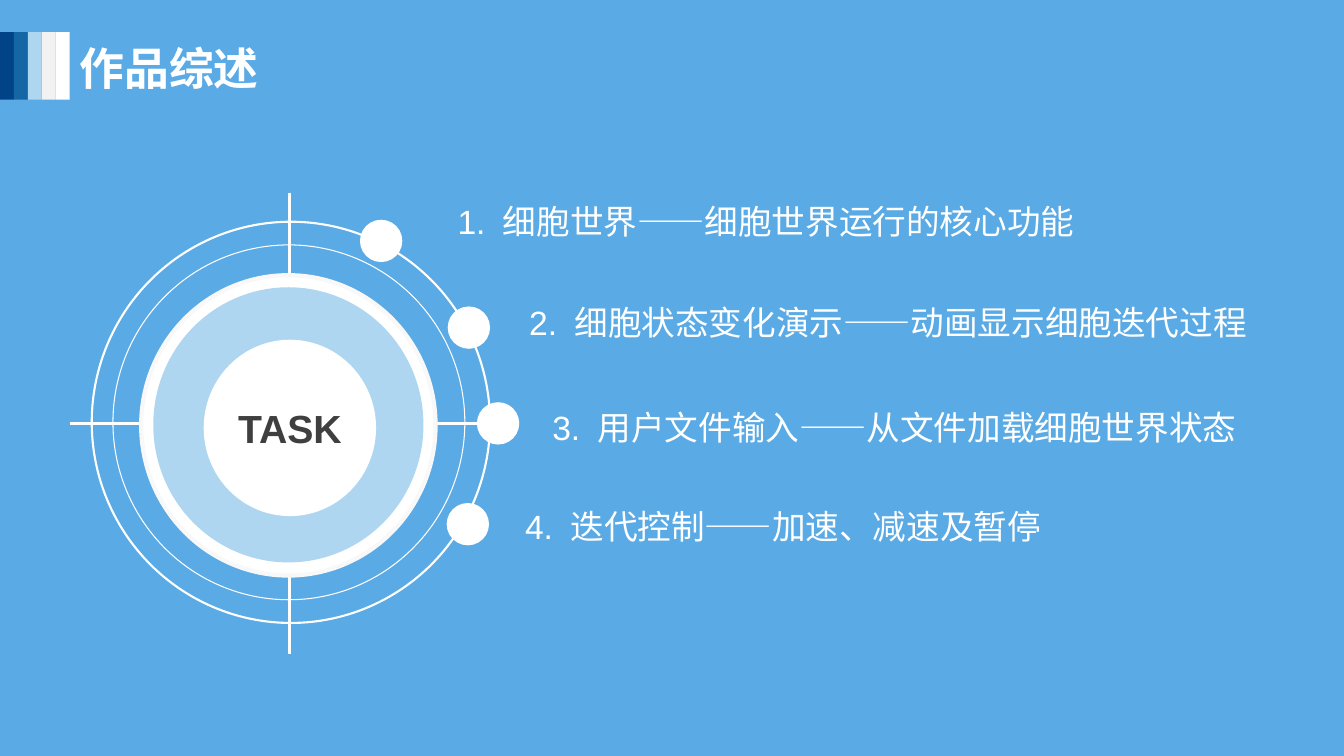
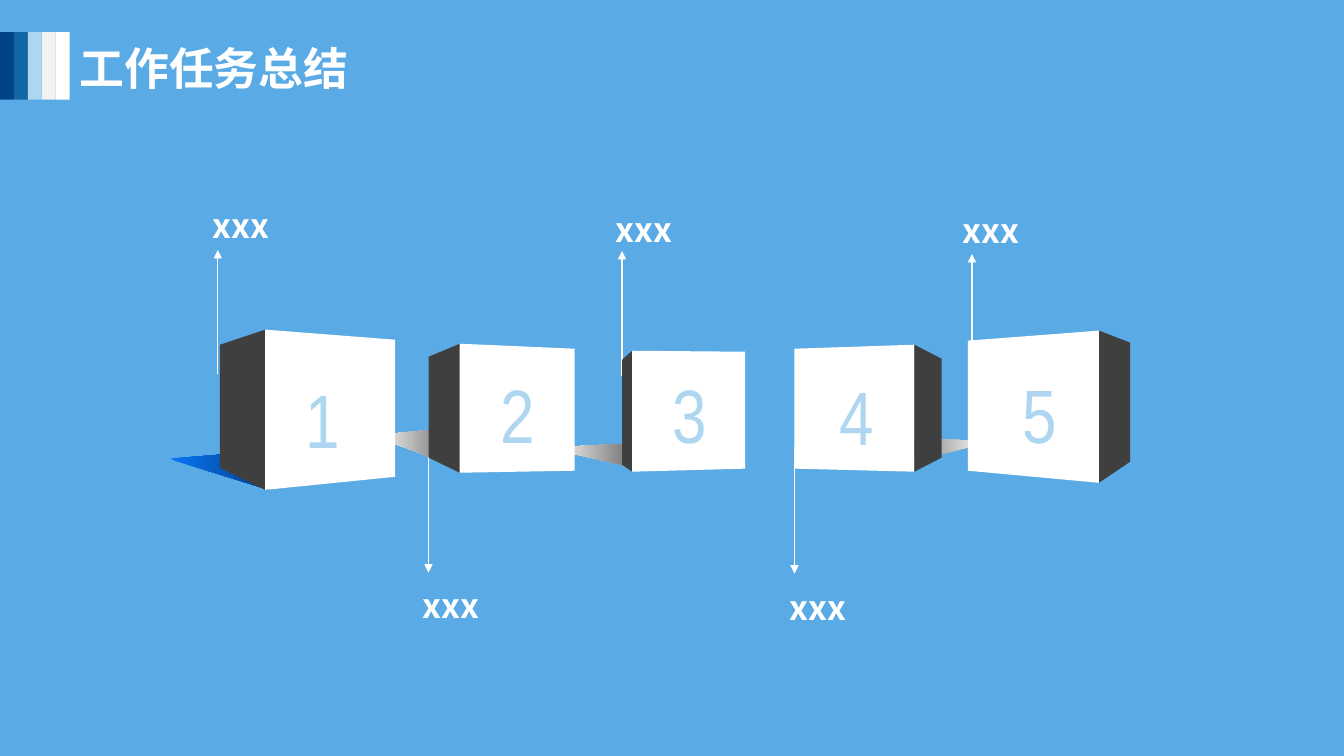
from lxml.etree import SubElement
from pptx import Presentation
from pptx.dml.color import RGBColor
from pptx.enum.shapes import MSO_CONNECTOR as Connector, MSO_SHAPE as Preset
from pptx.enum.text import MSO_ANCHOR as Anchor, MSO_AUTO_SIZE as AutoSize, PP_ALIGN as Align
from pptx.oxml.ns import qn
from pptx.util import Inches, Pt

COLORS = {
    "sky": "5AAAE5",
    "navy": "004487",
    "teal": "1467A4",
    "pale": "AFD6F0",
    "mist": "F2F2F2",
    "rim": "F8F8F8",
    "white": "FFFFFF",
    "dark": "3F3F3F",
    "grey": "666666",
    "blue": "0875F8",
    "deep_blue": "043F85",
}
CJK_FONT = "Noto Sans CJK SC"
BAND_COLORS = ["navy", "teal", "pale", "mist", "white"]
BANDS_WIDTH = 0.69
DOT_SIZE = 0.42

# Left, top, width, height, fill, line colour, line width
RINGS = [
    (1.12, 2.43, 3.49, 3.52, None, "white", 0.75),
    (0.91, 2.2, 3.95, 3.98, None, "white", 1.5),
    (1.4, 2.73, 2.92, 2.98, "white", "rim", 3),
    (1.52, 2.85, 2.68, 2.73, "pale", None, 0),
]
# Text, text left and top, dot left and top
TASKS = [
    ("细胞世界——细胞世界运行的核心功能", 4.44, 1.94, 3.57, 2.18),
    ("细胞状态变化演示——动画显示细胞迭代过程", 5.15, 2.95, 4.44, 3.04),
    ("用户文件输入——从文件加载细胞世界状态", 5.38, 3.99, 4.73, 3.99),
    ("迭代控制——加速、减速及暂停", 5.11, 4.97, 4.43, 4.99),
]
# Arrow x, start y, tip y, label left and top
CALLOUTS = [
    (2.16, 3.71, 2.48, 2.01, 1.9),
    (4.25, 4.4, 5.68, 4.09, 5.67),
    (6.17, 3.73, 2.49, 6.01, 1.94),
    (7.88, 4.43, 5.69, 7.73, 5.69),
    (9.64, 3.75, 2.52, 9.45, 1.95),
]
# Corner points, left colour, right colour
CAST_SHADOWS = [
    ([(2.67, 4.86), (1.74, 4.57), (1.69, 4.55), (2.57, 4.48)], "blue", "deep_blue"),
    ([(8.93, 4.61), (9.75, 4.4), (9.8, 4.38), (9.03, 4.34)], "grey", "white"),
    ([(4.53, 4.63), (3.74, 4.34), (3.69, 4.32), (4.44, 4.25)], "white", "grey"),
    ([(6.34, 4.65), (5.5, 4.46), (5.45, 4.44), (6.24, 4.4)], "white", "grey"),
]
# Three upright edges (x, top, bottom), colours of the two faces, number centre and top
CUBES = [
    ([(2.18, 3.42, 4.64), (2.63, 3.27, 4.86), (3.92, 3.37, 4.73)], ("dark", "white"), 3.2, 3.65),
    ([(4.25, 3.54, 4.54), (4.56, 3.41, 4.69), (5.7, 3.46, 4.67)], ("dark", "white"), 5.13, 3.6),
    ([(6.17, 3.57, 4.61), (6.27, 3.48, 4.68), (7.39, 3.49, 4.65)], ("dark", "white"), 6.84, 3.6),
    ([(7.88, 3.46, 4.65), (9.07, 3.42, 4.68), (9.34, 3.56, 4.54)], ("white", "dark"), 8.5, 3.62),
    ([(9.6, 3.38, 4.67), (10.9, 3.28, 4.79), (11.21, 3.4, 4.58)], ("white", "dark"), 10.31, 3.6),
]


def color(name):
    return RGBColor.from_string(COLORS[name])


def paint(shape, fill=None, line=None, weight=0):
    """Give a shape a plain fill and outline, without shadow."""
    shape.shadow.inherit = False
    if fill:
        shape.fill.solid()
        shape.fill.fore_color.rgb = color(fill)
    else:
        shape.fill.background()
    if line:
        shape.line.color.rgb = color(line)
        shape.line.width = Pt(weight)
    else:
        shape.line.fill.background()
    return shape


def add_preset(page, preset, left, top, width, height, **look):
    shape = page.shapes.add_shape(
        preset, Inches(left), Inches(top), Inches(width), Inches(height))
    return paint(shape, **look)


def write(shape, text, size, font, ink="white", bold=False, align=Align.LEFT,
          anchor=Anchor.TOP, wrap=True, grow=False, spacing=None, tab=None):
    """Set the text of a shape as one formatted paragraph."""
    frame = shape.text_frame
    frame.word_wrap = wrap
    frame.vertical_anchor = anchor
    frame.auto_size = AutoSize.SHAPE_TO_FIT_TEXT if grow else AutoSize.NONE
    para = frame.paragraphs[0]
    para.alignment = align
    if spacing:
        para.line_spacing = spacing
    if tab:
        stops = SubElement(para._p.get_or_add_pPr(), qn("a:tabLst"))
        SubElement(stops, qn("a:tab"), pos=str(Inches(tab)), algn="l")
    span = para.add_run()
    span.text = text
    span.font.size = Pt(size)
    span.font.name = font
    span.font.bold = bold
    span.font.color.rgb = color(ink)
    SubElement(span._r.get_or_add_rPr(), qn("a:ea"), typeface=CJK_FONT)


def add_text(page, text, left, top, width, height, **style):
    box = page.shapes.add_textbox(
        Inches(left), Inches(top), Inches(width), Inches(height))
    write(box, text, **style)


def add_line(page, start, end, weight, arrow=False):
    line = page.shapes.add_connector(
        Connector.STRAIGHT, *[Inches(value) for value in (*start, *end)])
    line.line.color.rgb = color("white")
    line.line.width = Pt(weight)
    if arrow:
        SubElement(line.line._get_or_add_ln(), qn("a:tailEnd"), type="triangle")
    SubElement(line._element.spPr, qn("a:effectLst"))


def add_polygon(page, points, fill=None):
    first, *rest = [(Inches(x), Inches(y)) for x, y in points]
    builder = page.shapes.build_freeform(*first)
    builder.add_line_segments(rest, close=True)
    return paint(builder.convert_to_shape(), fill=fill)


def add_cast_shadow(page, points, left_color, right_color):
    shape = add_polygon(page, points)
    shape.fill.gradient()
    shape.fill.gradient_angle = 0
    for stop, name in zip(shape.fill.gradient_stops, (left_color, right_color)):
        stop.color.rgb = color(name)


def add_cube(page, edges, faces, number, center, top):
    for (x1, top1, bottom1), (x2, top2, bottom2), fill in zip(edges, edges[1:], faces):
        corners = [(x1, top1), (x2, top2), (x2, bottom2), (x1, bottom1)]
        add_polygon(page, corners, fill)
    width = 0.62
    add_text(page, str(number), center - width / 2, top, width, 0.99, size=54,
             font="Arial Narrow", ink="pale", align=Align.CENTER, wrap=False)


def add_page(deck, title, title_width):
    """Start a page with the colour bands and the title."""
    page = deck.slides.add_slide(deck.slide_layouts[6])
    band = BANDS_WIDTH / len(BAND_COLORS)
    for index, fill in enumerate(BAND_COLORS):
        add_preset(page, Preset.RECTANGLE, index * band, 0.32, band, 0.67, fill=fill)
    add_text(page, title, BANDS_WIDTH, 0.35, title_width, 0.64,
             size=32, font=CJK_FONT, bold=True, grow=True)
    return page


def build_overview(deck):
    page = add_page(deck, "作品综述", 2.19)

    # Target with crosshair
    add_line(page, (0.69, 4.2), (5.05, 4.2), 2.25)
    add_line(page, (2.87, 1.91), (2.87, 6.49), 2.25)
    for *place, fill, line, weight in RINGS:
        add_preset(page, Preset.OVAL, *place, fill=fill, line=line, weight=weight)
    hub = add_preset(page, Preset.OVAL, 2.02, 3.37, 1.71, 1.75, fill="white")
    write(hub, "TASK", size=28, font="Arial", ink="dark", bold=True,
          align=Align.CENTER, anchor=Anchor.MIDDLE, wrap=False)

    # Numbered tasks and their dots
    for number, (text, left, top, dot_left, dot_top) in enumerate(TASKS, 1):
        add_preset(page, Preset.OVAL, dot_left, dot_top, DOT_SIZE, DOT_SIZE, fill="white")
        add_text(page, f"{number}.\t{text}", left, top, 7.8, 0.5, size=24, font="Arial",
                 anchor=Anchor.MIDDLE, grow=True, tab=0.45)


def build_summary(deck):
    page = add_page(deck, "工作任务总结", 3.52)

    # Labels with arrows
    for x, start, tip, left, top in CALLOUTS:
        add_line(page, (x, start), (x, tip), 1, arrow=True)
        add_text(page, "xxx", left, top, 2, 0.54, size=24, font=CJK_FONT,
                 bold=True, grow=True, spacing=1.2)

    # Row of cubes above their shadows
    for shadow in CAST_SHADOWS:
        add_cast_shadow(page, *shadow)
    for number, (edges, faces, center, top) in enumerate(CUBES, 1):
        add_cube(page, edges, faces, number, center, top)


def main():
    deck = Presentation()
    deck.slide_width, deck.slide_height = Inches(13.33), Inches(7.5)
    backdrop = deck.slide_master.background.fill
    backdrop.solid()
    backdrop.fore_color.rgb = color("sky")
    build_overview(deck)
    build_summary(deck)
    deck.save("out.pptx")


if __name__ == "__main__":
    main()
